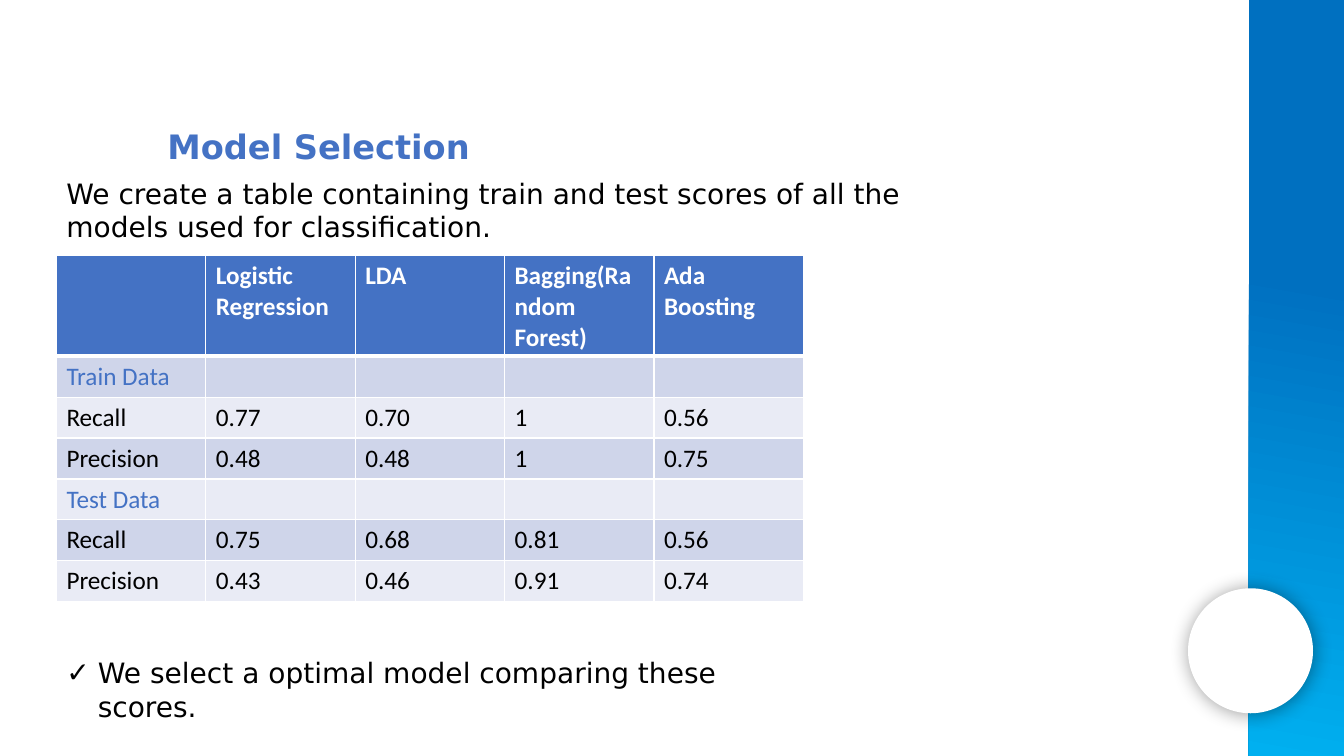
from lxml.etree import SubElement
from pptx import Presentation
from pptx.dml.color import RGBColor
from pptx.enum.shapes import MSO_SHAPE
from pptx.oxml.ns import qn
from pptx.util import Pt

BLUE = RGBColor(0x44, 0x72, 0xC4)
DEEP_BLUE = RGBColor(0x00, 0x70, 0xC0)
SKY_BLUE = RGBColor(0x00, 0xB0, 0xF0)
DARK_BAND = RGBColor(0xCF, 0xD5, 0xEA)
LIGHT_BAND = RGBColor(0xE9, 0xEB, 0xF5)
WHITE = RGBColor(0xFF, 0xFF, 0xFF)
BLACK = RGBColor(0x00, 0x00, 0x00)

SCORES = [
    ["", "Logistic Regression", "LDA", "Bagging(Random Forest)", "Ada Boosting"],
    ["Train Data", "", "", "", ""],
    ["Recall", "0.77", "0.70", "1", "0.56"],
    ["Precision", "0.48", "0.48", "1", "0.75"],
    ["Test Data", "", "", "", ""],
    ["Recall", "0.75", "0.68", "0.81", "0.56"],
    ["Precision", "0.43", "0.46", "0.91", "0.74"],
]


class SlideBuilder:
    text_font = "DejaVu Sans"
    table_font = "Calibri"

    def __init__(self, page):
        self.page = page

    def shape(self, preset, left, top, width, height):
        """Add a preset shape without outline or shadow."""
        item = self.page.shapes.add_shape(
            preset, Pt(left), Pt(top), Pt(width), Pt(height))
        item.shadow.inherit = False
        item.line.fill.background()
        return item

    def side_band(self, left, top, width, height):
        fill = self.shape(MSO_SHAPE.RECTANGLE, left, top, width, height).fill
        fill.gradient()
        fill.gradient_angle = 260
        stops = [(0.37, DEEP_BLUE), (1, SKY_BLUE)]
        for stop, (position, color) in zip(fill.gradient_stops, stops):
            stop.position = position
            stop.color.rgb = color

    def shadowed_circle(self, left, top, size):
        circle = self.shape(MSO_SHAPE.OVAL, left, top, size, size)
        circle.fill.solid()
        circle.fill.fore_color.rgb = WHITE
        effects = circle._element.spPr.find(qn("a:effectLst"))
        shadow = SubElement(effects, qn("a:outerShdw"), blurRad=str(Pt(14)),
                            dist=str(Pt(1)), dir=str(43 * 60000), rotWithShape="0")
        color = SubElement(shadow, qn("a:srgbClr"), val=str(BLACK))
        SubElement(color, qn("a:alpha"), val="40000")

    def span(self, para, text, font, size, color, bold=False):
        run = para.add_run()
        run.text = text
        run.font.name = font
        run.font.size = Pt(size)
        run.font.bold = bold
        run.font.color.rgb = color

    def text(self, left, top, width, height, words, size=20, color=BLACK,
             bold=False, bullet=None):
        box = self.page.shapes.add_textbox(Pt(left), Pt(top), Pt(width), Pt(height))
        box.text_frame.word_wrap = True
        para = box.text_frame.paragraphs[0]
        self.span(para, words, self.text_font, size, color, bold)
        if bullet:
            props = para._p.get_or_add_pPr()
            props.set("marL", str(Pt(22.5)))
            props.set("indent", str(-Pt(22.5)))
            SubElement(props, qn("a:buFont"), typeface=self.text_font)
            SubElement(props, qn("a:buChar"), char=bullet)

    def borders(self, cell, bottom):
        """Draw white cell edges, with the bottom one of the given width."""
        props = cell._tc.get_or_add_tcPr()
        edges = [("a:lnL", 1), ("a:lnR", 1), ("a:lnT", 1), ("a:lnB", bottom)]
        for tag, width in edges:
            line = SubElement(props, qn(tag), w=str(Pt(width)))
            fill = SubElement(line, qn("a:solidFill"))
            SubElement(fill, qn("a:srgbClr"), val=str(WHITE))

    def table(self, left, top, column_width, row_height, rows):
        columns = len(rows[0])
        table = self.page.shapes.add_table(
            len(rows), columns, Pt(left), Pt(top),
            Pt(column_width * columns), Pt(row_height * len(rows))).table
        for column in table.columns:
            column.width = Pt(column_width)
        for index, values in enumerate(rows):
            table.rows[index].height = Pt(row_height)
            header = index == 0
            band = BLUE if header else DARK_BAND if index % 2 else LIGHT_BAND
            section = not any(values[1:])
            color = WHITE if header else BLUE if section else BLACK
            for cell, value in zip(table.rows[index].cells, values):
                self.borders(cell, 3 if header else 1)
                cell.fill.solid()
                cell.fill.fore_color.rgb = band
                if value:
                    self.span(cell.text_frame.paragraphs[0], value,
                              self.table_font, 18, color, header)


def main():
    deck = Presentation()
    deck.slide_width, deck.slide_height = Pt(960), Pt(540)
    builder = SlideBuilder(deck.slides.add_slide(deck.slide_layouts[6]))
    builder.side_band(892, 0, 68, 540)
    builder.shadowed_circle(848.6, 420.2, 89.3)
    builder.text(112.5, 86.4, 445.7, 36, "Model Selection", 24, BLUE, True)
    builder.text(40.3, 122.4, 630.7, 55.4,
                 "We create a table containing train and test scores of all "
                 "the models used for classification.")
    builder.table(40.3, 182.5, 106.7, 29.2, SCORES)
    builder.text(40.3, 465, 554, 31.7,
                 "We select a optimal model comparing these scores.", bullet="✓")
    deck.save("out.pptx")


if __name__ == "__main__":
    main()
